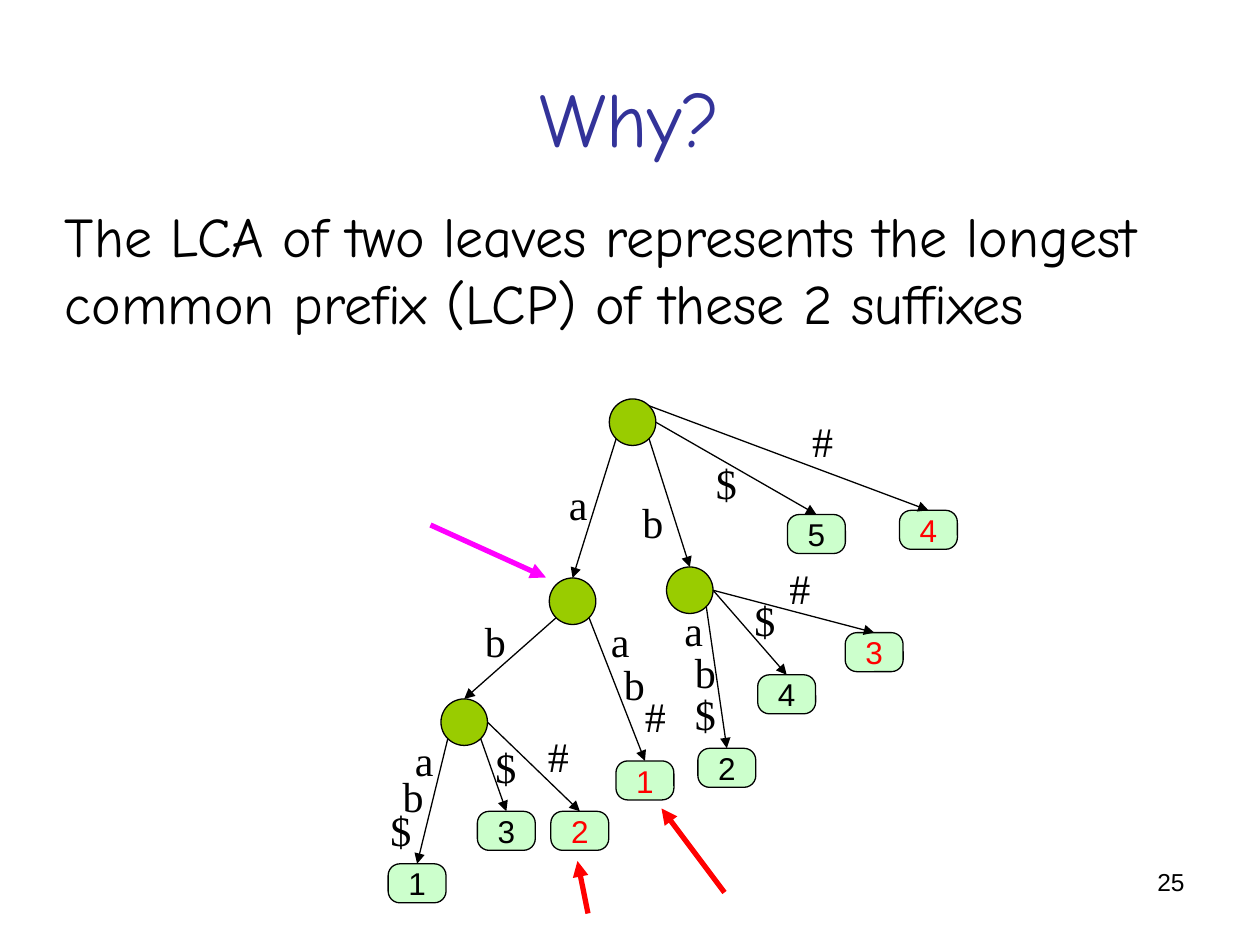
"""Build the slide explaining why the LCA of two suffix-tree leaves gives their LCP."""
import math
from dataclasses import dataclass

from lxml import etree
from pptx import Presentation
from pptx import util as u
from pptx.dml.color import RGBColor
from pptx.enum import shapes, text
from pptx.oxml.ns import qn


@dataclass(frozen=True)
class Theme:
    black: str = "000000"
    red: str = "FF0000"
    magenta: str = "FF00FF"
    heading: str = "333399"
    node_fill: str = "99CC00"
    leaf_fill: str = "CCFFCC"
    prose_font: str = "Comic Neue"
    edge_font: str = "Times New Roman"
    leaf_font: str = "Arial"
    title_size: float = 44
    body_size: float = 32
    edge_size: float = 24
    leaf_size: float = 18
    number_size: float = 14
    thin: float = 0.75
    thick: float = 3


@dataclass(frozen=True)
class Box:
    left: float
    top: float
    width: float
    height: float

    def lengths(self) -> list[u.Length]:
        return [u.Pt(v) for v in (self.left, self.top, self.width, self.height)]


@dataclass(frozen=True)
class Node:
    left: float
    top: float

    @property
    def box(self) -> Box:
        return Box(self.left, self.top, 26.6, 26.6)

    def rim(self, degrees: float) -> tuple[float, float]:
        radius, angle = self.box.width / 2, math.radians(degrees)
        return (self.left + radius * (1 + math.cos(angle)),
                self.top + radius * (1 + math.sin(angle)))


@dataclass(frozen=True)
class Leaf:
    left: float
    top: float
    suffix: str
    second_string: bool = False

    @property
    def box(self) -> Box:
        return Box(self.left, self.top, 33.1, 22.3)


@dataclass(frozen=True)
class Edge:
    parent: Node
    child: Node | Leaf
    degrees: float
    letters: tuple[tuple[str, float, float], ...]


@dataclass(frozen=True)
class Pointer:
    start: tuple[float, float]
    end: tuple[float, float]
    color: str


THEME = Theme()
RIGHT, DOWN_RIGHT, DOWN_LEFT, UP_RIGHT = 0, 45, 135, -45

ROOT = Node(348.2, 228)
NODE_A = Node(313.9, 330.3)
NODE_B = Node(380.9, 324)
NODE_AB = Node(252, 399.4)

EDGES = (
    Edge(ROOT, NODE_A, DOWN_LEFT, (("a", 318, 270),)),
    Edge(ROOT, NODE_B, DOWN_RIGHT, (("b", 360, 280),)),
    Edge(ROOT, Leaf(450, 294, "5"), RIGHT, (("$", 402, 258),)),
    Edge(ROOT, Leaf(514, 291.6, "4", True), UP_RIGHT, (("#", 457, 234),)),
    Edge(NODE_A, NODE_AB, DOWN_LEFT, (("b", 270, 348),)),
    Edge(NODE_A, Leaf(352, 434.8, "1", True), DOWN_RIGHT,
         (("a", 342, 348), ("b", 349.5, 373), ("#", 361.5, 391))),
    Edge(NODE_B, Leaf(398.8, 427.6, "2"), DOWN_RIGHT,
         (("a", 384, 342), ("b", 390, 366), ("$", 390, 390))),
    Edge(NODE_B, Leaf(433, 385.6, "4"), RIGHT, (("$", 424, 336),)),
    Edge(NODE_B, Leaf(483, 361.5, "3", True), RIGHT, (("#", 444, 318),)),
    Edge(NODE_AB, Leaf(221.8, 493.6, "1"), DOWN_LEFT,
         (("a", 230, 416), ("b", 223, 437), ("$", 216, 456))),
    Edge(NODE_AB, Leaf(272.8, 463.6, "3"), DOWN_RIGHT, (("$", 276, 420),)),
    Edge(NODE_AB, Leaf(314.8, 463.6, "2", True), RIGHT, (("#", 306, 414),)),
)

POINTERS = (
    Pointer((246, 300), (312, 330), THEME.magenta),
    Pointer((414, 510), (378, 462), THEME.red),
    Pointer((336, 522), (330, 492), THEME.red),
)


def write(shape, words: str, font: str, size: float, color: str,
          align=text.PP_ALIGN.LEFT, anchor=text.MSO_ANCHOR.TOP, wrap: bool = True) -> None:
    """Put one styled paragraph into a shape."""
    frame = shape.text_frame
    frame.text = words
    frame.word_wrap = wrap
    frame.vertical_anchor = anchor
    paragraph = frame.paragraphs[0]
    paragraph.alignment = align
    style = paragraph.runs[0].font
    style.name, style.size = font, u.Pt(size)
    style.color.rgb = RGBColor.from_string(color)


def add_text(slide, box: Box, words: str, font: str, size: float, color: str, **layout) -> None:
    """Add a text box."""
    write(slide.shapes.add_textbox(*box.lengths()), words, font, size, color, **layout)


def add_outlined(slide, kind, box: Box, fill: str):
    """Add a filled shape with a thin black outline."""
    shape = slide.shapes.add_shape(kind, *box.lengths())
    shape.shadow.inherit = False
    shape.fill.solid()
    shape.fill.fore_color.rgb = RGBColor.from_string(fill)
    shape.line.color.rgb = RGBColor.from_string(THEME.black)
    shape.line.width = u.Pt(THEME.thin)
    return shape


def add_arrow(slide, start: tuple[float, float], end: tuple[float, float],
              color: str, width: float) -> None:
    """Add a straight arrow with its head at the end point."""
    arrow = slide.shapes.add_connector(
        shapes.MSO_CONNECTOR.STRAIGHT, *(u.Pt(v) for v in (*start, *end)))
    arrow.line.color.rgb = RGBColor.from_string(color)
    arrow.line.width = u.Pt(width)
    etree.SubElement(arrow.line._get_or_add_ln(), qn("a:tailEnd"), type="triangle")
    etree.SubElement(arrow._element.spPr, qn("a:effectLst"))


def add_node(slide, node: Node) -> None:
    """Add an inner node of the tree."""
    add_outlined(slide, shapes.MSO_SHAPE.OVAL, node.box, THEME.node_fill)


def add_leaf(slide, leaf: Leaf) -> None:
    """Add a numbered leaf, red for the second string."""
    shape = add_outlined(slide, shapes.MSO_SHAPE.ROUNDED_RECTANGLE, leaf.box, THEME.leaf_fill)
    shape.adjustments[0] = 0.3
    write(shape, leaf.suffix, THEME.leaf_font, THEME.leaf_size,
          THEME.red if leaf.second_string else THEME.black,
          align=text.PP_ALIGN.CENTER, anchor=text.MSO_ANCHOR.MIDDLE, wrap=False)


def add_edge(slide, edge: Edge) -> None:
    """Add the arrow to a child's top centre, with its letters."""
    target = edge.child.box
    add_arrow(slide, edge.parent.rim(edge.degrees),
              (target.left + target.width / 2, target.top), THEME.black, THEME.thin)
    for letter, left, top in edge.letters:
        add_text(slide, Box(left, top, 30, 36), letter,
                 THEME.edge_font, THEME.edge_size, THEME.black)


def main() -> None:
    """Draw the slide and save it."""
    deck = Presentation()
    deck.slide_width, deck.slide_height = u.Pt(720), u.Pt(540)
    slide = deck.slides.add_slide(deck.slide_layouts[6])
    add_text(slide, Box(36, 21.6, 648, 90), "Why?", THEME.prose_font, THEME.title_size,
             THEME.heading, align=text.PP_ALIGN.CENTER, anchor=text.MSO_ANCHOR.MIDDLE)
    add_text(slide, Box(30, 111.6, 660, 84),
             "The LCA of two leaves represents the longest common prefix (LCP) "
             "of these 2 suffixes", THEME.prose_font, THEME.body_size, THEME.black)
    add_node(slide, ROOT)
    for edge in EDGES:
        (add_leaf if isinstance(edge.child, Leaf) else add_node)(slide, edge.child)
        add_edge(slide, edge)
    for pointer in POINTERS:
        add_arrow(slide, pointer.start, pointer.end, pointer.color, THEME.thick)
    add_text(slide, Box(516, 492, 168, 37.5), "25", THEME.leaf_font, THEME.number_size,
             THEME.black, align=text.PP_ALIGN.RIGHT)
    deck.save("out.pptx")


if __name__ == "__main__":
    main()
